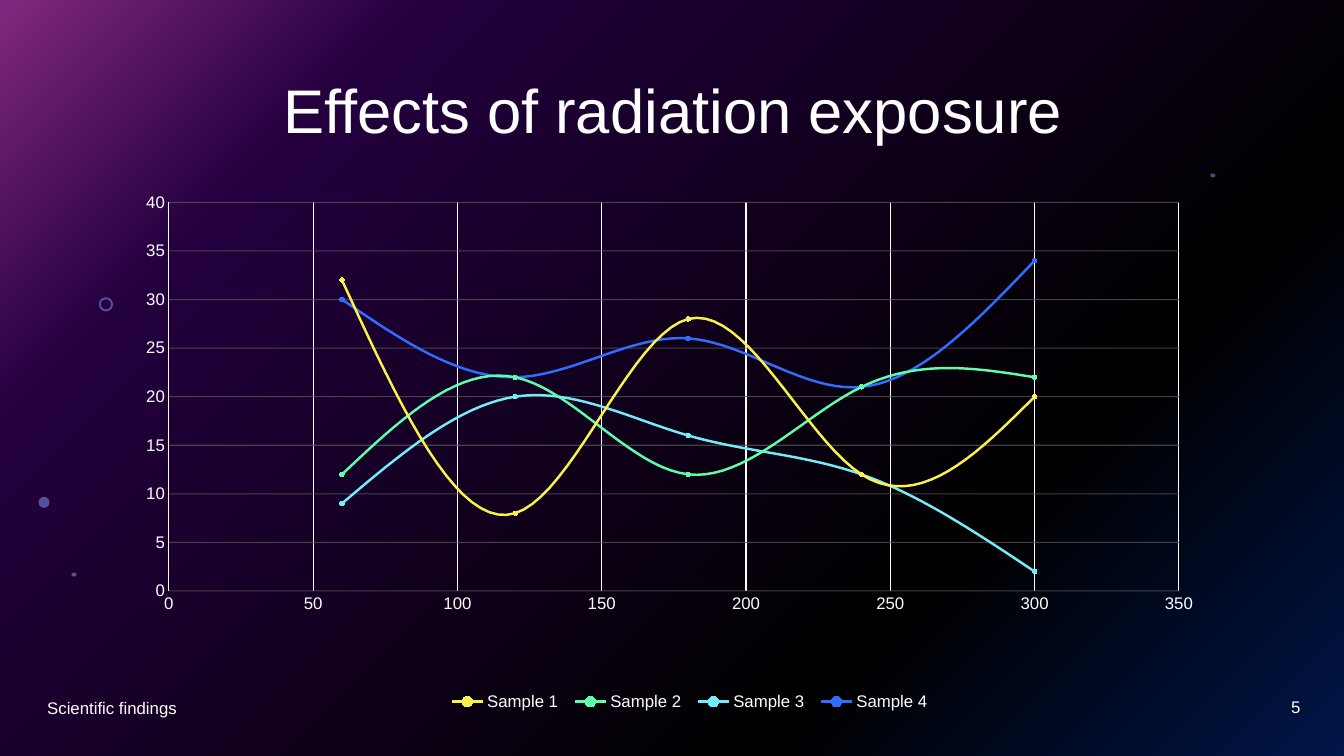
from dataclasses import dataclass

from lxml import etree
from pptx import Presentation
from pptx.chart import data as cd
from pptx.dml.color import RGBColor
from pptx.enum import chart as ch, shapes, text
from pptx.oxml.ns import qn
from pptx.util import Cm, Pt


@dataclass
class Theme:
    font: str = "Arial"
    white: str = "FFFFFF"
    black: str = "000000"
    grid: str = "595959"
    dot: str = "83A7FD"
    glow: tuple = ((0, "022D94"), (28, "000000"), (80, "4A027F"), (99, "FC4EFB"))
    title: int = 44
    small: int = 12


theme = Theme()


def write(box, words, size=theme.small, align=text.PP_ALIGN.LEFT, lead=1.0):
    frame = slide.shapes.add_textbox(*map(Cm, box)).text_frame
    frame.word_wrap = True
    frame.vertical_anchor = text.MSO_ANCHOR.MIDDLE
    para = frame.paragraphs[0]
    para.text, para.alignment, para.line_spacing = words, align, lead
    para.font.name, para.font.size = theme.font, Pt(size)
    para.font.color.rgb = RGBColor.from_string(theme.white)


def tint(fill, node, color, alpha=100):
    """Fill with a solid colour; alpha is the opacity in percent."""
    fill.solid()
    fill.fore_color.rgb = RGBColor.from_string(color)
    if alpha < 100:
        for clr in node.iter(qn("a:srgbClr")):
            etree.SubElement(clr, qn("a:alpha"), val=str(alpha * 1000))


deck = Presentation()
deck.slide_width, deck.slide_height = Cm(33.87), Cm(19.05)
slide = deck.slides.add_slide(deck.slide_layouts[6])

# Background glow, centred on the bottom right corner
slide.background.fill.gradient()
grad = next(slide._element.iter(qn("a:gradFill")))
for child in list(grad):
    grad.remove(child)
stops = etree.SubElement(grad, qn("a:gsLst"))
for pos, color in theme.glow:
    stop = etree.SubElement(stops, qn("a:gs"), pos=str(pos * 1000))
    etree.SubElement(stop, qn("a:srgbClr"), val=color)
way = etree.SubElement(grad, qn("a:path"), path="circle")
etree.SubElement(way, qn("a:fillToRect"), l="100000", t="100000")

# Dark veil and small dots
kind = shapes.MSO_SHAPE
for form, box, color, alpha in (
    (kind.RECTANGLE, (0, 0, 33.87, 19.05), theme.black, 50),
    (kind.DONUT, (2.49, 7.49, 0.36, 0.36), theme.dot, 49),
    (kind.OVAL, (0.97, 12.52, 0.28, 0.28), theme.dot, 49),
    (kind.OVAL, (1.8, 14.43, 0.13, 0.1), theme.dot, 49),
    (kind.OVAL, (30.5, 4.37, 0.13, 0.1), theme.dot, 49),
):
    shape = slide.shapes.add_shape(form, *map(Cm, box))
    shape.shadow.inherit = False
    shape.line.fill.background()
    tint(shape.fill, shape._element.spPr, color, alpha)
    if form == kind.DONUT:
        shape.adjustments[0] = 0.14

# Chart
times = (60, 120, 180, 240, 300)
samples = (
    ("Sample 1", (32, 8, 28, 12, 20), "FAF24C", "FCF794"),
    ("Sample 2", (12, 22, 12, 21, 22), "5EFCAC", "9EFDCD"),
    ("Sample 3", (9, 20, 16, 12, 2), "73EBF9", "ABF3FB"),
    ("Sample 4", (30, 22, 26, 21, 34), "316CFC", "83A7FD"),
)
data = cd.XyChartData()
for name, values, *_ in samples:
    series = data.add_series(name)
    for time, value in zip(times, values):
        series.add_data_point(time, value)
chart = slide.shapes.add_chart(
    ch.XL_CHART_TYPE.XY_SCATTER_SMOOTH,
    *map(Cm, (2.36, 4.67, 29.16, 14.38)), data).chart
chart.has_title = False
chart.font.name, chart.font.size = theme.font, Pt(theme.small)
chart.font.color.rgb = RGBColor.from_string(theme.white)
plot = chart.plots[0]
plot.vary_by_categories = False

for series, (_, _, color, pale) in zip(plot.series, samples):
    line = series.format.line
    line.width = Pt(1.75)
    tint(line.fill, series._element, color)
    mark = series.marker
    mark.style, mark.size = ch.XL_MARKER_STYLE.CIRCLE, 3
    tint(mark.format.fill, series._element, pale)
    mark.format.line.fill.background()
    for smooth in series._element.iter(qn("c:smooth")):
        smooth.set("val", "1")

for axis, top, step, color, alpha in (
    (chart.category_axis, 350, 50, theme.white, 100),
    (chart.value_axis, 40, 5, theme.grid, 75),
):
    axis.minimum_scale, axis.maximum_scale, axis.major_unit = 0, top, step
    axis.major_tick_mark = axis.minor_tick_mark = ch.XL_TICK_MARK.NONE
    axis.has_major_gridlines = True
    grid = axis.major_gridlines.format.line
    grid.width = Pt(0.75)
    tint(grid.fill, axis._element.find(qn("c:majorGridlines")), color, alpha)
chart.category_axis.format.line.fill.background()
edge = chart.value_axis.format.line
edge.width = Pt(0.75)
tint(edge.fill, chart.value_axis._element, theme.white)

chart.has_legend = True
chart.legend.position = ch.XL_LEGEND_POSITION.TOP
chart.legend.include_in_layout = False
area = next(chart._chartSpace.iter(qn("c:plotArea")))
for part, index, target, box in (
    (area, 0, "inner", (0.065, 0.03, 0.873, 0.681)),
    (chart.legend._element, 1, None, (0.3, 0.87, 0.43, 0.07)),
):
    for old in part.findall(qn("c:layout")):
        part.remove(old)
    layout = etree.Element(qn("c:layout"))
    part.insert(index, layout)
    manual = etree.SubElement(layout, qn("c:manualLayout"))
    if target:
        etree.SubElement(manual, qn("c:layoutTarget"), val=target)
    for mode in ("xMode", "yMode"):
        etree.SubElement(manual, qn("c:" + mode), val="edge")
    for side, share in zip("xywh", box):
        etree.SubElement(manual, qn("c:" + side), val=str(share))

# Title and footer
write((2.36, 1.02, 29.21, 3.68), "Effects of radiation exposure",
      size=theme.title, align=text.PP_ALIGN.CENTER, lead=0.9)
write((0.94, 17.32, 11.43, 1.02), "Scientific findings")
write((25.4, 17.3, 7.62, 1.02), "5", align=text.PP_ALIGN.RIGHT)

deck.save("out.pptx")
